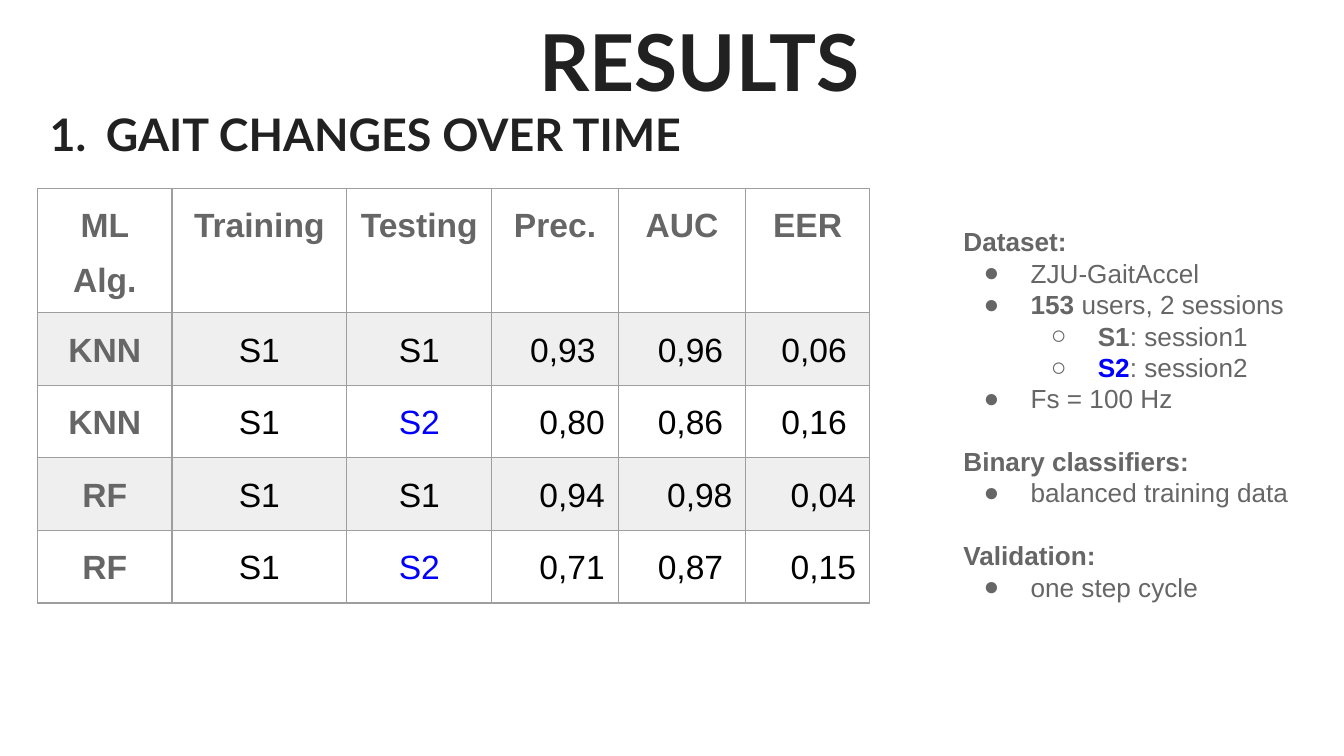
from lxml.etree import SubElement
from pptx import Presentation
from pptx.dml.color import RGBColor
from pptx.enum.text import MSO_ANCHOR as Anchor, MSO_AUTO_SIZE as AutoSize, PP_ALIGN as Align
from pptx.oxml.ns import qn
from pptx.util import Inches, Pt

DARK = RGBColor(0x21, 0x21, 0x21)
GREY = RGBColor(0x66, 0x66, 0x66)
BLACK = RGBColor(0, 0, 0)
BLUE = RGBColor(0, 0, 0xFF)
WHITE = RGBColor(0xFF, 0xFF, 0xFF)
BAND = RGBColor(0xEF, 0xEF, 0xEF)
BORDER = RGBColor(0x9E, 0x9E, 0x9E)

HEADING = {"name": "Lato", "bold": True}
BODY = {"name": "Arial", "size": Pt(14), "bold": False}
CELL = {"name": "Arial", "size": Pt(18), "bold": False}

COL_WIDTHS = [1, 1.3, 1.08, 0.94, 0.95, 0.92]
ROW_HEIGHTS = [0.88] + [0.54] * 4
RESULTS = [
    ["ML\nAlg.", "Training", "Testing", "Prec.", "AUC", "EER"],
    ["KNN", "S1", "S1", "0,93 ", "0,96 ", "0,06 "],
    ["KNN", "S1", "S2", "0,80", "0,86 ", "0,16 "],
    ["RF", "S1", "S1", "0,94", "0,98", "0,04"],
    ["RF", "S1", "S2", "0,71", "0,87 ", "0,15"],
]

# Each paragraph: level (0 heading, 1 and 2 bullets), runs of (text, bold, colour)
NOTES = [
    (0, [("Dataset:", True, GREY)]),
    (1, [("ZJU-GaitAccel", False, GREY)]),
    (1, [("153", True, GREY), (" users, 2 sessions", False, GREY)]),
    (2, [("S1", True, GREY), (": session1", False, GREY)]),
    (2, [("S2", True, BLUE), (": session2", False, GREY)]),
    (1, [("Fs = 100 Hz", False, GREY)]),
    (0, [("Binary classifiers:", True, GREY)]),
    (1, [("balanced training data", False, GREY)]),
    (0, [("Validation:", True, GREY)]),
    (1, [("one step cycle", False, GREY)]),
]


def add_run(p, text, color, **fmt):
    r = p.add_run()
    r.text = text
    for key, value in fmt.items():
        setattr(r.font, key, value)
    r.font.color.rgb = color


def set_frame(tf, anchor=Anchor.TOP):
    frame = {"word_wrap": True, "auto_size": AutoSize.NONE, "vertical_anchor": anchor}
    frame.update({f"margin_{side}": Inches(0.1)
                  for side in ("left", "right", "top", "bottom")})
    for key, value in frame.items():
        setattr(tf, key, value)


def add_text_box(s, left, top, width, height, anchor=Anchor.TOP):
    tf = s.shapes.add_textbox(*map(Inches, (left, top, width, height))).text_frame
    set_frame(tf, anchor)
    return tf


def set_bullet(p, color, left, hanging, char=None):
    """Give a paragraph a bullet character, or a number if there is none."""
    pPr = p._p.get_or_add_pPr()
    pPr.set("marL", str(Inches(left)))
    pPr.set("indent", str(-Inches(hanging)))
    clr = SubElement(pPr, qn("a:buClr"))
    SubElement(clr, qn("a:srgbClr"), val=str(color))
    if char:
        SubElement(pPr, qn("a:buFont"), typeface="Arial")
        SubElement(pPr, qn("a:buChar"), char=char)
    else:
        SubElement(pPr, qn("a:buAutoNum"), type="arabicPeriod")


def set_borders(cell):
    tcPr = cell._tc.get_or_add_tcPr()
    for i, side in enumerate(("lnL", "lnR", "lnT", "lnB")):
        ln = tcPr.makeelement(qn(f"a:{side}"), {"w": str(Pt(0.75))})
        fill = SubElement(ln, qn("a:solidFill"))
        SubElement(fill, qn("a:srgbClr"), val=str(BORDER))
        tcPr.insert(i, ln)  # borders come before the fill


def fill_cell(cell, text, row, col):
    label = row == 0 or col == 0
    color = GREY if label else BLUE if text == "S2" else BLACK
    for side in ("left", "right", "top", "bottom"):
        setattr(cell, f"margin_{side}", Inches(0.1))
    cell.fill.solid()
    cell.fill.fore_color.rgb = BAND if row % 2 else WHITE
    set_borders(cell)
    tf = cell.text_frame
    for i, line in enumerate(text.split("\n")):
        p = tf.add_paragraph() if i else tf.paragraphs[0]
        p.alignment = Align.RIGHT if row and col >= 3 else Align.CENTER
        p.line_spacing = 1.15
        if i:
            p.space_before = Pt(6)
        add_run(p, line, color, **{**CELL, "bold": label})
    if (row, col) != (0, 1):
        p.space_after = Pt(6)


def add_title(s):
    sp = s.shapes.title
    box = {"left": 2.44, "top": 0, "width": 5.53, "height": 0.94}
    for key, value in box.items():
        setattr(sp, key, Inches(value))
    set_frame(sp.text_frame)
    p = sp.text_frame.paragraphs[0]
    p.alignment = Align.CENTER
    add_run(p, "RESULTS", DARK, size=Pt(42), **HEADING)


def add_section(s):
    p = add_text_box(s, 0.19, 0.73, 9.32, 0.52, Anchor.MIDDLE).paragraphs[0]
    set_bullet(p, DARK, 0.5, 0.42)
    add_run(p, "GAIT CHANGES OVER TIME", DARK, size=Pt(24), **HEADING)


def add_results(s):
    table = s.shapes.add_table(
        len(RESULTS), len(COL_WIDTHS), Inches(0.28), Inches(1.4),
        Inches(sum(COL_WIDTHS)), Inches(sum(ROW_HEIGHTS))).table
    for column, width in zip(table.columns, COL_WIDTHS):
        column.width = Inches(width)
    for row, height in zip(table.rows, ROW_HEIGHTS):
        row.height = Inches(height)
    for i, values in enumerate(RESULTS):
        for j, text in enumerate(values):
            fill_cell(table.cell(i, j), text, i, j)


def add_notes(s):
    tf = add_text_box(s, 7.07, 1.58, 2.83, 3.29)
    for i, (level, runs) in enumerate(NOTES):
        p = tf.add_paragraph() if i else tf.paragraphs[0]
        if level:
            p.level = level - 1
            set_bullet(p, GREY, 0.5 * level, 0.35, "●○"[level - 1])
        elif i:
            p.space_before = Pt(16.8)  # one line between groups
        for text, bold, color in runs:
            add_run(p, text, color, **{**BODY, "bold": bold})


def main():
    prs = Presentation()
    prs.slide_width = Inches(10)
    prs.slide_height = prs.slide_width * 9 // 16
    s = prs.slides.add_slide(prs.slide_layouts[5])
    add_title(s)
    add_results(s)
    add_notes(s)
    add_section(s)
    prs.save("out.pptx")


if __name__ == "__main__":
    main()
